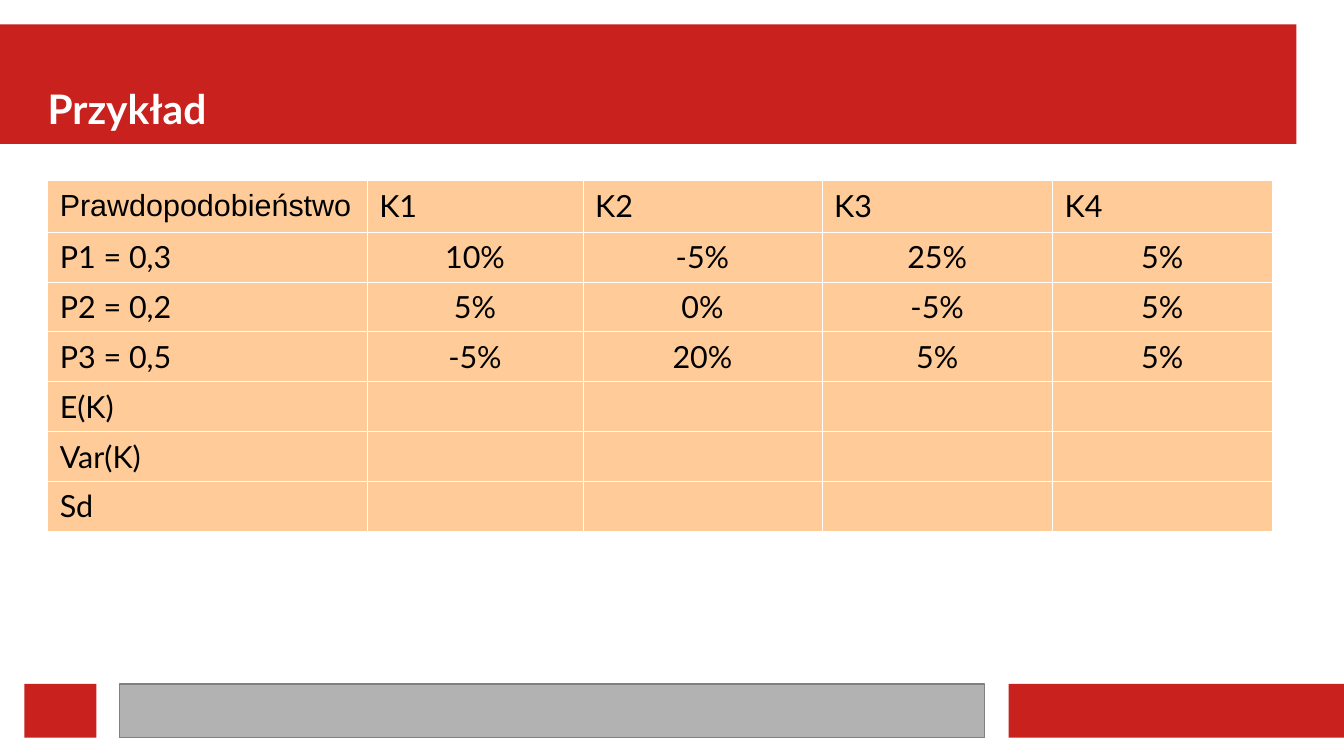
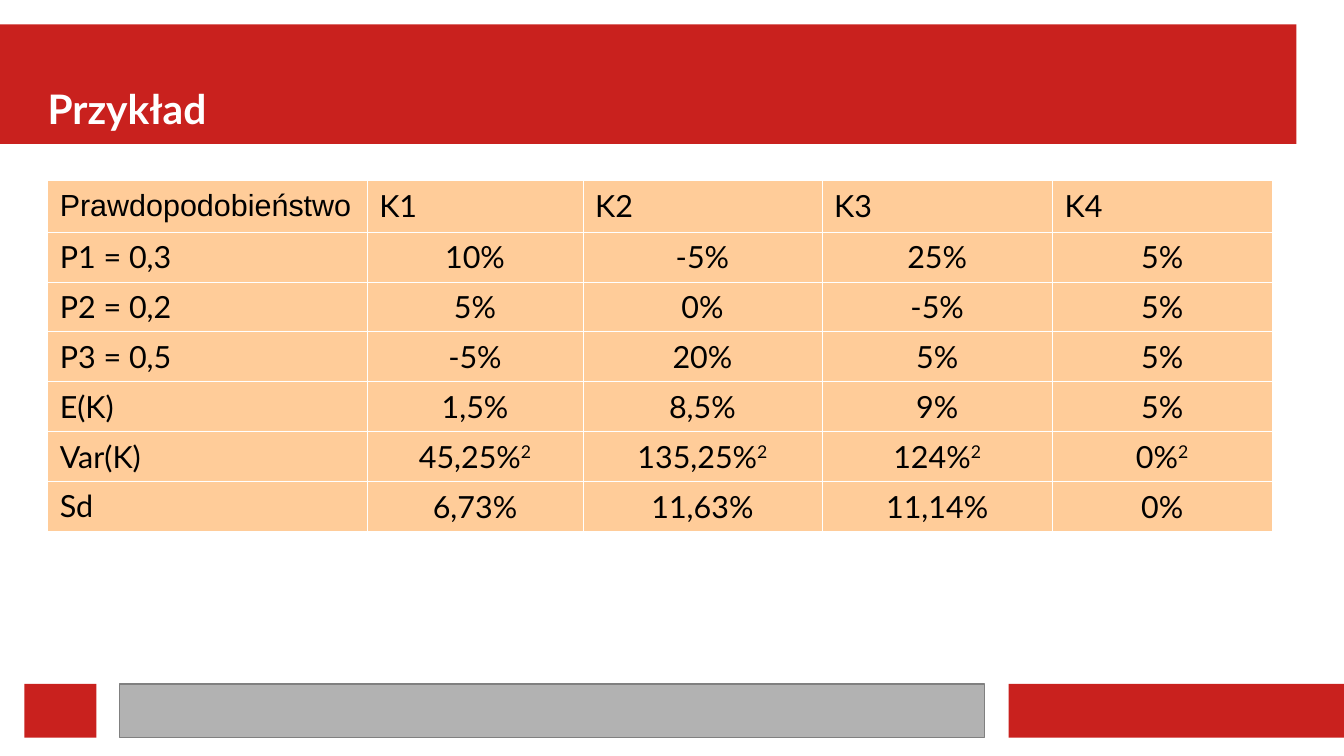
"""Build two slides with the return table, first to fill in, then solved."""
from dataclasses import dataclass

from lxml import etree
from pptx import Presentation
from pptx.dml.color import RGBColor
from pptx.enum import shapes, text
from pptx.oxml import ns
from pptx.util import Inches, Pt

HUES = {"red": "C9211E", "grey": "B2B2B2", "edge": "808080",
        "peach": "FFCC99", "white": "FFFFFF", "black": "000000"}
FONT = "Lato"
COLS = (2.62, 1.77, 1.96, 1.89, 1.8)
ROWS = (0.42,) + (0.41,) * 6
GIVEN = (
    ("Prawdopodobieństwo", "K1", "K2", "K3", "K4"),
    ("P1 = 0,3", "10%", "-5%", "25%", "5%"),
    ("P2 = 0,2", "5%", "0%", "-5%", "5%"),
    ("P3 = 0,5", "-5%", "20%", "5%", "5%"),
)
LABELS = ("E(K)", "Var(K)", "Sd")
SOLVED = (
    ("1,5%", "8,5%", "9%", "5%"),
    ("45,25%^2", "135,25%^2", "124%^2", "0%^2"),
    ("6,73%", "11,63%", "11,14%", "0%"),
)
EMPTY = (("",) * 4,) * 3


@dataclass(frozen=True)
class Band:
    """A filled bar, measured in inches."""
    left: float
    top: float
    width: float
    height: float
    fill: str = "red"
    edge: str = ""


BANDS = (
    Band(0, 0.2, 10.63, 0.98),
    Band(8.27, 5.61, 2.76, 0.44),
    Band(0.98, 5.61, 7.09, 0.44, "grey", "edge"),
    Band(0.2, 5.61, 0.59, 0.44),
)


def hue(name: str) -> RGBColor:
    """Return the named colour."""
    return RGBColor.from_string(HUES[name])


def write(frame, words: str, *, size: float = 18, font: str = FONT,
          color: str = "black", bold: bool = False,
          align=text.PP_ALIGN.LEFT) -> None:
    """Write one paragraph, raising whatever follows a caret."""
    para = frame.paragraphs[0]
    para.alignment = align
    for index, part in enumerate(words.split("^")):
        run = para.add_run()
        run.text = part
        run.font.size = Pt(size)
        run.font.name = font
        run.font.bold = bold
        run.font.color.rgb = hue(color)
        if index:
            run._r.get_or_add_rPr().set("baseline", "33000")


def draw_band(slide, band: Band) -> None:
    """Draw one bar."""
    bar = slide.shapes.add_shape(
        shapes.MSO_SHAPE.RECTANGLE, Inches(band.left), Inches(band.top),
        Inches(band.width), Inches(band.height))
    bar.shadow.inherit = False
    bar.fill.solid()
    bar.fill.fore_color.rgb = hue(band.fill)
    if band.edge:
        bar.line.color.rgb = hue(band.edge)
        bar.line.width = Pt(0)
    else:
        bar.line.fill.background()


def draw_title(slide, words: str) -> None:
    """Set the title low in the top band."""
    box = slide.shapes.add_textbox(
        Inches(0.39), Inches(0.3), Inches(10.24), Inches(0.79))
    frame = box.text_frame
    frame.word_wrap = True
    frame.vertical_anchor = text.MSO_ANCHOR.BOTTOM
    frame.margin_left = frame.margin_right = Inches(0)
    frame.margin_top = frame.margin_bottom = Inches(0)
    write(frame, words, size=24, color="white", bold=True)


def style_cell(cell) -> None:
    """Give a cell thin white borders and a peach fill."""
    props = cell._tc.get_or_add_tcPr()
    for side in ("lnL", "lnR", "lnT", "lnB"):
        line = etree.SubElement(props, ns.qn(f"a:{side}"), w=str(Pt(0.06)))
        fill = etree.SubElement(line, ns.qn("a:solidFill"))
        etree.SubElement(fill, ns.qn("a:srgbClr"), val=HUES["white"])
    cell.fill.solid()
    cell.fill.fore_color.rgb = hue("peach")


def draw_table(slide, rows: tuple) -> None:
    """Draw the table of returns."""
    table = slide.shapes.add_table(
        len(ROWS), len(COLS), Inches(0.39), Inches(1.48),
        Inches(sum(COLS)), Inches(sum(ROWS))).table
    table.first_row = table.horz_banding = False
    for col, width in zip(table.columns, COLS):
        col.width = Inches(width)
    for r, (row, height) in enumerate(zip(rows, ROWS)):
        table.rows[r].height = Inches(height)
        for c, words in enumerate(row):
            cell = table.cell(r, c)
            style_cell(cell)
            last = r == len(ROWS) - 1 and c == 0
            cell.vertical_anchor = (text.MSO_ANCHOR.TOP if last
                                    else text.MSO_ANCHOR.MIDDLE)
            write(cell.text_frame, words,
                  font="Arial" if r == c == 0 else FONT,
                  align=text.PP_ALIGN.CENTER if r and c
                  else text.PP_ALIGN.LEFT)


def main() -> None:
    """Build and save the slides."""
    deck = Presentation()
    deck.slide_width, deck.slide_height = Inches(11.02), Inches(6.2)
    for results in (EMPTY, SOLVED):
        slide = deck.slides.add_slide(deck.slide_layouts[6])
        for band in BANDS:
            draw_band(slide, band)
        draw_title(slide, "Przykład")
        rows = tuple((label, *vals) for label, vals in zip(LABELS, results))
        draw_table(slide, GIVEN + rows)
    deck.save("out.pptx")


if __name__ == "__main__":
    main()
